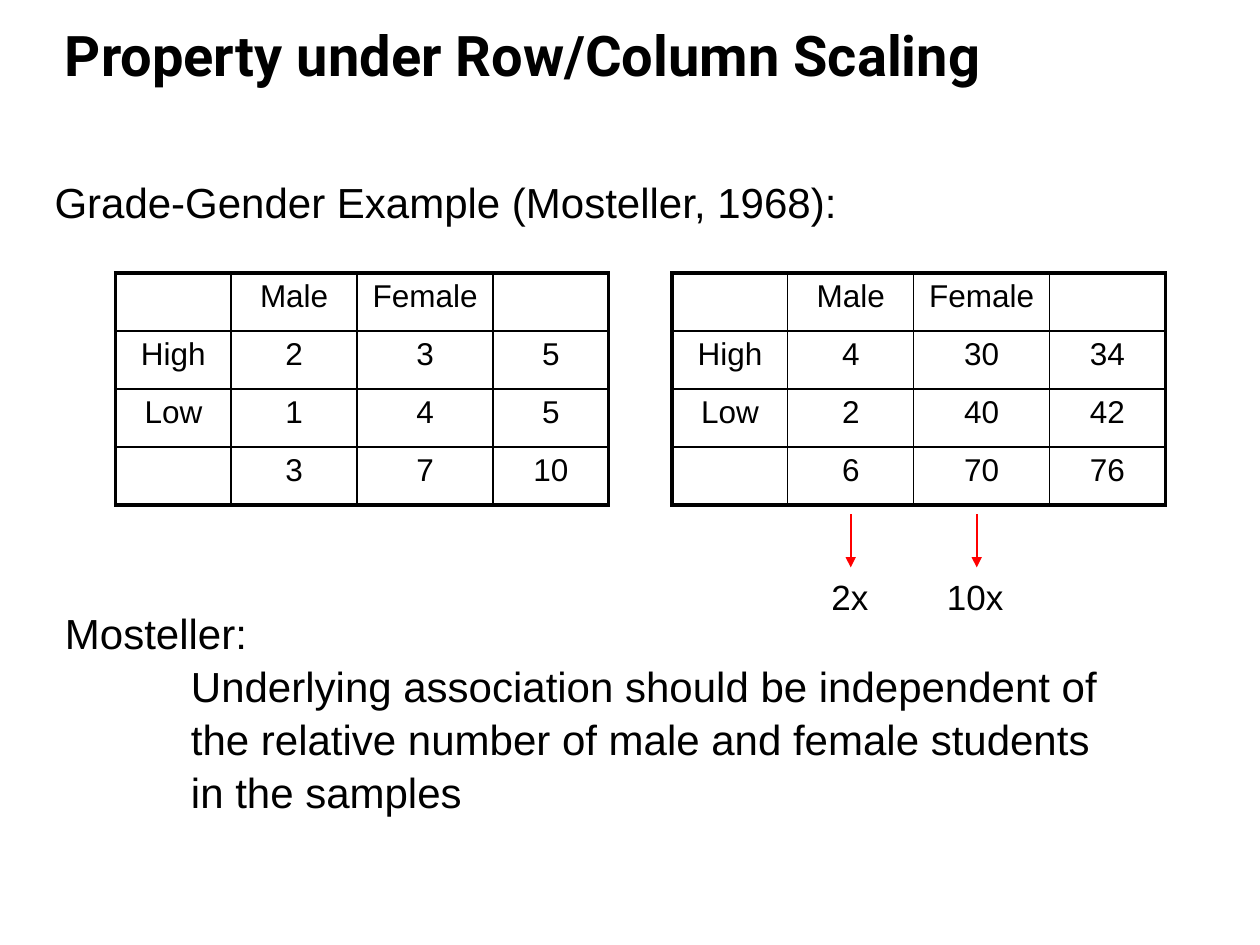
from dataclasses import dataclass

from lxml import etree
from pptx import Presentation
from pptx.dml.color import RGBColor
from pptx.enum.shapes import MSO_CONNECTOR
from pptx.enum.text import MSO_ANCHOR, PP_ALIGN
from pptx.oxml.ns import qn
from pptx.util import Cm, Pt

STRAIGHT = MSO_CONNECTOR.STRAIGHT
BOTTOM, TOP = MSO_ANCHOR.BOTTOM, MSO_ANCHOR.TOP
CENTER = PP_ALIGN.CENTER


@dataclass(frozen=True)
class Theme:
    ink: str = "000000"
    arrow: str = "FF0000"
    title_font: str = "Roboto"
    body_font: str = "Arial"
    title_size: int = 32
    body_size: int = 24
    label_size: int = 20
    table_size: int = 18
    frame_line: float = 2.25
    thin_line: float = 1
    body_spacing: float = 1.05
    title_spacing: float = 1.12


THEME = Theme()
COLUMN_WIDTHS = (2.33, 2.54, 2.74, 2.33)
ROW_HEIGHT = 1.17


def add_span(para, text, size, font=THEME.body_font, bold=False):
    span = para.add_run()
    span.text = text
    span.font.size = Pt(size)
    span.font.name = font
    span.font.bold = bold
    span.font.color.rgb = RGBColor.from_string(THEME.ink)


def add_text_frame(page, box, anchor=TOP):
    frame = page.shapes.add_textbox(*map(Cm, box)).text_frame
    frame.word_wrap = True
    frame.vertical_anchor = anchor
    return frame


def add_title(page, box, text):
    para = add_text_frame(page, box, BOTTOM).paragraphs[0]
    para.line_spacing = THEME.title_spacing
    add_span(para, text, THEME.title_size, THEME.title_font, bold=True)


def add_line_of_text(page, box, text, size):
    para = add_text_frame(page, box).paragraphs[0]
    para.line_spacing = THEME.body_spacing
    add_span(para, text, size)


def add_statement(page, box, speaker, claim):
    """Place a speaker's name with the claim indented below it."""
    frame = add_text_frame(page, box)
    name_para, claim_para = frame.paragraphs[0], frame.add_paragraph()
    claim_para._p.get_or_add_pPr().set("marL", str(Cm(2.54)))
    for para, text in ((name_para, speaker), (claim_para, claim)):
        para.line_spacing = THEME.body_spacing
        add_span(para, text, THEME.body_size)


def set_border(cell, side, width):
    line = etree.SubElement(cell._tc.get_or_add_tcPr(), qn(f"a:ln{side}"),
                            w=str(Pt(width)))
    fill = etree.SubElement(line, qn("a:solidFill"))
    etree.SubElement(fill, qn("a:srgbClr"), val=THEME.ink)


def add_contingency_table(page, left, top, counts):
    """Place a two-by-two table of counts with its row and column totals."""
    (high, low) = counts
    totals = [a + b for a, b in zip(high, low)]
    rows = [
        ("", "Male", "Female", ""),
        ("High", *high, sum(high)),
        ("Low", *low, sum(low)),
        ("", *totals, sum(totals)),
    ]
    last_row, last_column = len(rows) - 1, len(COLUMN_WIDTHS) - 1
    table = page.shapes.add_table(
        len(rows), len(COLUMN_WIDTHS), Cm(left), Cm(top),
        Cm(sum(COLUMN_WIDTHS)), Cm(ROW_HEIGHT * len(rows))).table
    table.first_row = table.horz_banding = False
    for column, width in zip(table.columns, COLUMN_WIDTHS):
        column.width = Cm(width)
    for r, values in enumerate(rows):
        table.rows[r].height = Cm(ROW_HEIGHT)
        for c, value in enumerate(values):
            cell = table.cell(r, c)
            on_frame = {"L": c == 0, "R": c == last_column,
                        "T": r == 0, "B": r == last_row}
            for side, outer in on_frame.items():
                set_border(cell, side, THEME.frame_line if outer else THEME.thin_line)
            cell.fill.background()
            para = cell.text_frame.paragraphs[0]
            para.alignment = CENTER
            if value == "":
                para.font.size = Pt(THEME.table_size)
            else:
                add_span(para, str(value), THEME.table_size)


def add_down_arrow(page, x, top, height):
    arrow = page.shapes.add_connector(STRAIGHT, Cm(x), Cm(top), Cm(x), Cm(top + height))
    arrow.line.color.rgb = RGBColor.from_string(THEME.arrow)
    arrow.line.width = Pt(THEME.thin_line)
    etree.SubElement(arrow.line._get_or_add_ln(), qn("a:tailEnd"), type="triangle")
    etree.SubElement(arrow._element.spPr, qn("a:effectLst"))


def add_scale_factors(page, left, top, factors):
    """Place one arrow per scaled column, each with its factor below."""
    arrow_height = 1.07
    for i, factor in enumerate(factors):
        add_down_arrow(page, left + 0.64 + 2.54 * i, top, arrow_height)
        label_box = (left + 2.33 * i, top + arrow_height, 1.7, 1.09)
        add_line_of_text(page, label_box, factor, THEME.label_size)


def main():
    deck = Presentation()
    deck.slide_width, deck.slide_height = Cm(25.4), Cm(19.05)
    page = deck.slides.add_slide(deck.slide_layouts[6])

    add_title(page, (1.06, 0.42, 23, 1.48), "Property under Row/Column Scaling")
    add_contingency_table(page, 2.33, 5.5, ((2, 3), (1, 4)))
    add_contingency_table(page, 13.55, 5.5, ((4, 30), (2, 40)))
    add_line_of_text(page, (0.85, 3.39, 21.38, 1.27),
                     "Grade-Gender Example (Mosteller, 1968):", THEME.body_size)
    add_statement(page, (1.06, 12.07, 21.38, 4.32), "Mosteller:",
                  "Underlying association should be independent of the relative "
                  "number of male and female students in the samples")
    add_scale_factors(page, 16.51, 10.37, ("2x", "10x"))

    deck.save("out.pptx")


if __name__ == "__main__":
    main()
